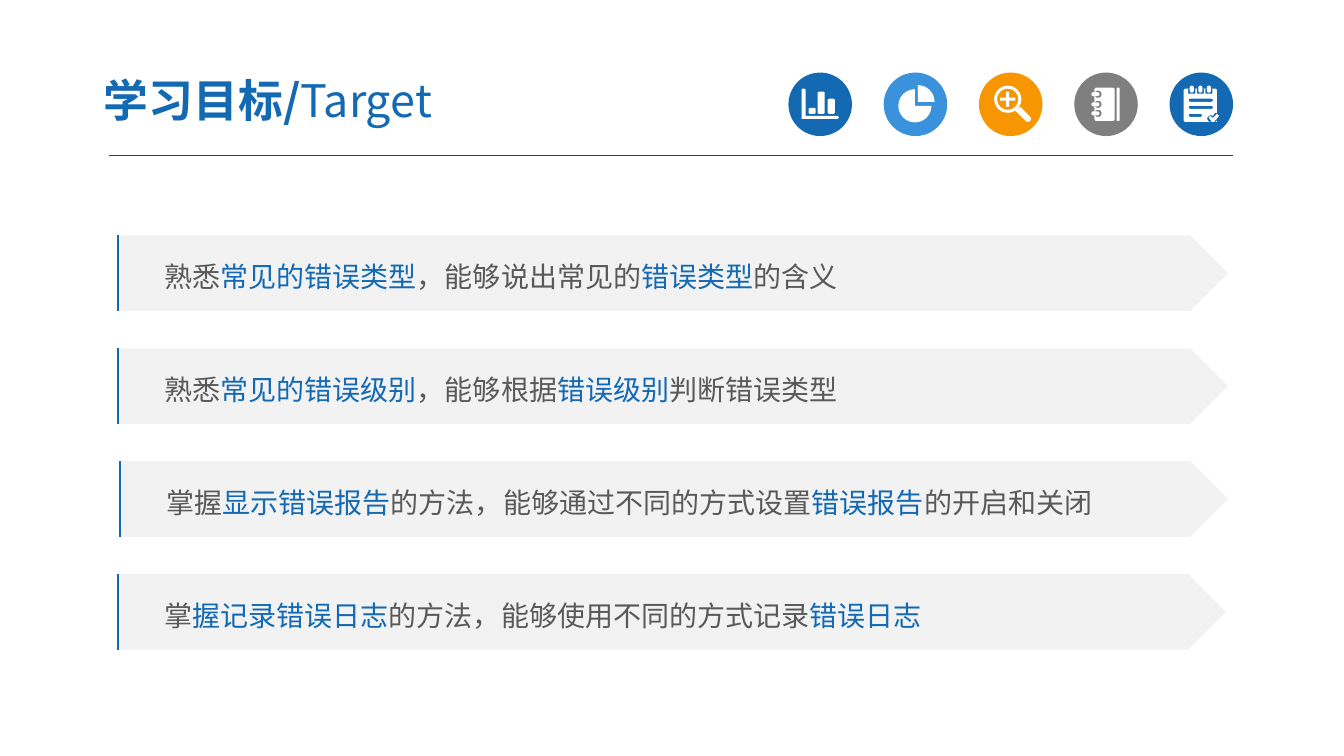
from math import cos, radians, sin

from lxml import etree
from pptx import Presentation
from pptx.dml.color import RGBColor
from pptx.enum.shapes import MSO_CONNECTOR, MSO_SHAPE
from pptx.enum.text import MSO_ANCHOR, PP_ALIGN
from pptx.oxml.ns import qn
from pptx.util import Inches, Pt

LINE = MSO_CONNECTOR.STRAIGHT
OVAL, ARROW = MSO_SHAPE.OVAL, MSO_SHAPE.PENTAGON
MIDDLE, LEFT = MSO_ANCHOR.MIDDLE, PP_ALIGN.LEFT
BLUE = RGBColor(0x13, 0x69, 0xB2)
KEY = RGBColor(0x13, 0x69, 0xB3)
SKY = RGBColor(0x39, 0x92, 0xDB)
GOLD = RGBColor(0xF7, 0x96, 0x00)
GREY = RGBColor(0x7F, 0x7F, 0x7F)
PALE = RGBColor(0xF2, 0xF2, 0xF2)
TEXT = RGBColor(0x59, 0x59, 0x59)
RULE = RGBColor(0x40, 0x40, 0x40)
WHITE = RGBColor(0xFF, 0xFF, 0xFF)
FONT = "Noto Sans CJK SC"
FINE = 100  # freeform units in one hundredth of an inch
SCALE = Inches(1) / 100 / FINE


def arc(x, y, r, start, end):
    """Points clockwise around a centre, one each 15 degrees."""
    return [(x + r * cos(radians(a)), y + r * sin(radians(a))) for a in range(start, end + 1, 15)]


def box(x, y, w, h, r):
    """Outline of a box with rounded corners."""
    right, low = x + w - r, y + h - r
    return (arc(right, low, r, 0, 90) + arc(x + r, low, r, 90, 180)
            + arc(x + r, y + r, r, 180, 270) + arc(right, y + r, r, 270, 360))


deck = Presentation()
deck.slide_width, deck.slide_height = Inches(13.33), Inches(7.5)
slide = deck.slides.add_slide(deck.slide_layouts[6])
shapes = slide.shapes

rule = shapes.add_connector(LINE, Inches(1.08), Inches(1.54), Inches(12.23), Inches(1.54))
rule.line.color.rgb = RULE
rule.line.width = Pt(0.75)
etree.SubElement(rule._element.spPr, qn("a:effectLst"))

# Icon outlines, in hundredths of an inch inside each disc; overlaps become holes
bars = [
    [(13, 17), (14, 16), (16, 16), (17, 17), (17, 43), (49, 43), (50, 44.5), (49, 46), (13, 46)],
    box(39, 26, 7, 15, 1.5),
    box(29, 19, 7, 22, 1.5),
    box(20, 35, 7, 6, 1.5),
]
pie = [[(34, 29)] + arc(34, 29, 16.5, 270, 360), [(31, 33)] + arc(31, 33, 16.5, 0, 270)]
lens = [
    box(15, 13, 27, 27, 13.5),
    box(18, 16, 21, 21, 10.5),
    [(21, 25), (27, 25), (27, 19), (30, 19), (30, 25), (36, 25),
     (36, 28), (30, 28), (30, 34), (27, 34), (27, 28), (21, 28)],
    [(41, 34), (50, 43)] + arc(48.5, 46, 3, 315, 495) + [(36, 38)],
]
book = [box(42, 15, 3, 33, 1), box(20, 15, 20, 33, 2)]
for y in (18, 28, 37):
    book += [box(20, y, 7, 7, 3), box(17, y + 1.5, 8, 4, 2)]
pad = [
    box(14, 16, 33, 33, 2),
    [(47, 40), (45, 40), (43, 43), (40, 42), (37, 45), (38, 48), (40, 49), (47, 49)],
    [(39, 45), (40, 43), (43, 45), (46, 42), (47, 41), (49, 43), (44, 49), (42, 49)],
]
for x in (18.5, 27, 35.5):
    pad += [box(x, 16, 7, 5, 0.5), box(x + 1.5, 13, 4, 7, 2)]
for y, w in ((26, 24), (33, 24), (41, 13)):
    pad.append(box(19, y, w, 3, 1.5))

plates = []
icons = [(4, BLUE, pad), (2, GOLD, lens), (3, GREY, book), (0, BLUE, bars), (1, SKY, pie)]
for place, color, outlines in icons:
    left, top = Inches(7.82 + 0.945 * place), Inches(0.72)
    group = shapes.add_group_shape()
    disc = group.shapes.add_shape(OVAL, left, top, Inches(0.63), Inches(0.63))
    pen = None
    for outline in outlines:
        (x, y), *rest = [(x * FINE, y * FINE) for x, y in outline]
        if pen is None:
            pen = group.shapes.build_freeform(x, y, SCALE)
        else:
            pen.move_to(x, y)
        pen.add_line_segments(rest, close=True)
    plates += [(disc, color), (pen.convert_to_shape(left, top), WHITE)]

title = shapes.add_textbox(Inches(0.9), Inches(0.63), Inches(5.22), Inches(0.72))
frame = title.text_frame
frame.word_wrap = True
frame.vertical_anchor = MIDDLE
frame.margin_left = frame.margin_right = Inches(0.13)
frame.margin_top = frame.margin_bottom = Inches(0.07)
texts = [(frame.paragraphs[0], 32, [("学习目标/", BLUE, True), ("Target", BLUE, False)])]

# Goals: left, width, then plain and key text in turn
goals = [
    (1.16, 11.02, ["熟悉", "常见的错误类型", "，能够说出常见的", "错误类型", "的含义"]),
    (1.16, 11.02, ["熟悉", "常见的错误级别", "，能够根据", "错误级别", "判断错误类型"]),
    (1.18, 11, ["掌握", "显示错误报告", "的方法，能够通过不同的方式设置", "错误报告", "的开启和关闭"]),
    (1.16, 11, ["掌", "握记录错误日志", "的方法，能够使用不同的方式记录", "错误日志"]),
]
tall = Inches(0.75)
for i, (left, width, words) in enumerate(goals):
    top = Inches(2.335 + 1.12 * i)
    group = shapes.add_group_shape()
    goal = group.shapes.add_shape(ARROW, Inches(left), top, Inches(width), tall)
    plates.append((goal, PALE))
    frame = goal.text_frame
    frame.word_wrap = True
    frame.vertical_anchor = MIDDLE
    frame.margin_left = Inches(0.47)
    para = frame.paragraphs[0]
    para.line_spacing = 1.2
    texts.append((para, 20, [(w, KEY if n % 2 else TEXT, False) for n, w in enumerate(words)]))
    pen = group.shapes.build_freeform(0, 75 * FINE, SCALE)
    pen.add_line_segments([(0, 0)], close=False)
    pen.move_to(16 * FINE, 0)
    edge = pen.convert_to_shape(Inches(left + 0.01), top)
    edge.shadow.inherit = False
    edge.fill.background()
    edge.line.color.rgb = BLUE
    edge.line.width = Pt(1.5)

for plate, color in plates:
    plate.shadow.inherit = False
    plate.fill.solid()
    plate.fill.fore_color.rgb = color
    plate.line.fill.background()

for para, size, parts in texts:
    para.alignment = LEFT
    for text, color, bold in parts:
        run = para.add_run()
        run.text = text
        style = {"size": Pt(size), "bold": bold, "name": FONT}
        for name, value in style.items():
            setattr(run.font, name, value)
        run.font.color.rgb = color
        etree.SubElement(run.font._element, qn("a:ea"), typeface=FONT)

deck.save("out.pptx")
